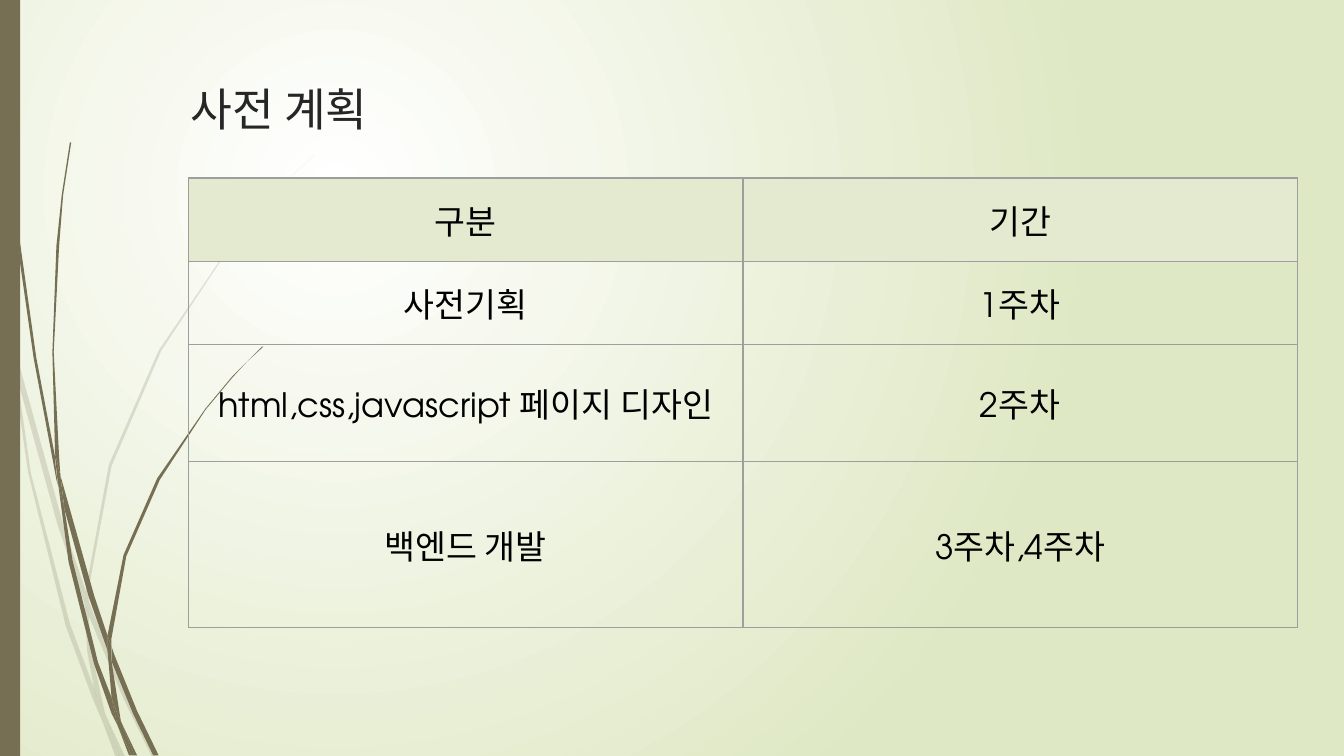
"""Build the slide with the advance plan schedule table."""
import dataclasses
import itertools

import pptx
import pptx.dml.color
import pptx.enum.shapes
import pptx.enum.text
import pptx.oxml
import pptx.oxml.ns
import pptx.slide
import pptx.util

Pt = pptx.util.Pt
qn = pptx.oxml.ns.qn
FONT = "TeX Gyre Adventor"
NAMESPACE = pptx.oxml.ns.nsdecls("a")
COLOURS = {
    "glow": "FFFFFF", "meadow": "DFE8C4", "stem": "766F54", "title": "262626",
    "text": "000000", "header": "E3EACF", "border": "9E9E9E",
}
HUNDREDTH_INCH = 0.72
COLUMN_WIDTH = 297
ROW_HEIGHTS = (44.6, 44.6, 62.6, 44.6, 44.6)
ROWS = (
    ("구분", "기간"),
    ("사전기획", "1주차"),
    ("html,css,javascript 페이지 디자인", "2주차"),
    ("백엔드 개발", "3주차,4주차"),
    ("", ""),
)


@dataclasses.dataclass(frozen=True)
class Grass:
    """Blades given as outline corners, in hundredths of an inch."""
    opacity: int
    blades: tuple[str, ...]


PALE_GRASS = Grass(20, (
    "8,263 6,241 0,211 0,224 8,258",
    "43,391 63,449 64,440 47,390 11,259 13,282",
    "69,455 66,447 66,458 92,520 113,563 116,563 95,519",
    "89,563 93,563 79,533",
    "70,512 52,464 23,352 13,282 8,263 21,352 49,466 69,520 76,536 74,530",
    "63,449 65,485 70,512 72,519 79,533 78,530 68,484 66,458 66,456",
    "66,438 83,347 120,261 171,184 201,148 217,131 234,115 "
    "217,131 201,148 171,183 118,261 81,346 64,438 64,440 66,447",
    "76,536 86,563 89,563",
    "66,456 66,458 66,447 64,440 63,449",
    "72,519 70,512 74,530 76,536 89,563 79,533",
))
DARK_GRASS = Grass(100, (
    "5,82 12,175 25,266 42,357 43,361 41,343 41,340 27,266 14,174 6,82 3,36 3,0 2,0 3,36",
    "66,444 80,484 80,475 80,473 70,443 45,354 48,379",
    "85,487 83,481 83,492 99,531 114,562 118,562 102,529",
    "83,519 73,493 54,417 48,379 43,358 51,418 70,494 83,531 88,541 87,538",
    "45,354 44,340 40,262 44,183 47,145 53,106 52,106 46,145 42,183 39,262 41,337",
    "100,562 102,562 91,539",
    "43,358 48,379 45,354 41,337 41,340",
    "83,475 94,414 119,357 153,305 173,281 184,269 196,258 195,258 "
    "184,269 173,280 153,304 117,356 92,413 80,473 83,481",
    "88,541 96,562 98,562",
    "80,484 83,519 87,530 91,539 90,537 83,492 81,488",
    "80,484 81,488 83,492 83,481 80,473 80,475",
    "87,530 83,519 87,538 88,541 98,562 100,562 91,539",
))


def rgb(name: str) -> pptx.dml.color.RGBColor:
    return pptx.dml.color.RGBColor.from_string(COLOURS[name])


def paint_stem(shape, opacity: int = 100) -> None:
    shape.shadow.inherit = False
    shape.fill.solid()
    shape.fill.fore_color.rgb = rgb("stem")
    shape.line.fill.background()
    if opacity < 100:
        colour = shape.element.spPr.find(".//" + qn("a:srgbClr"))
        colour.append(pptx.oxml.parse_xml(f'<a:alpha {NAMESPACE} val="{opacity * 1000}"/>'))


def draw_grass(page: pptx.slide.Slide, grass: Grass) -> None:
    for blade in grass.blades:
        outline = [
            tuple(Pt(int(number) * HUNDREDTH_INCH) for number in corner.split(","))
            for corner in blade.split()]
        builder = page.shapes.build_freeform(*outline[0])
        builder.add_line_segments(outline[1:], close=True)
        paint_stem(builder.convert_to_shape(), grass.opacity)


def draw_background(page: pptx.slide.Slide) -> None:
    fill = page.background.fill
    fill.gradient()
    for stop, name in zip(fill.gradient_stops, ("glow", "meadow")):
        stop.color.rgb = rgb(name)
    gradient = page.element.find(".//" + qn("a:gradFill"))
    gradient.replace(gradient.find(qn("a:lin")), pptx.oxml.parse_xml(
        f'<a:path {NAMESPACE} path="circle">'
        '<a:fillToRect l="50000" t="50000" r="100000" b="100000"/></a:path>'))


def set_font(para, size: float, colour: str) -> None:
    para.font.name = FONT
    para.font.size = Pt(size)
    para.font.color.rgb = rgb(colour)


def write_title(page: pptx.slide.Slide, text: str) -> None:
    title = page.shapes.title
    title.left, title.top, title.width, title.height = Pt(95), Pt(35.3), Pt(600.5), Pt(45.4)
    frame = title.text_frame
    frame.text = text
    frame.auto_size = pptx.enum.text.MSO_AUTO_SIZE.NONE
    frame.vertical_anchor = pptx.enum.text.MSO_ANCHOR.MIDDLE
    frame.margin_left = frame.margin_right = frame.margin_top = frame.margin_bottom = Pt(7.2)
    para = frame.paragraphs[0]
    para.alignment = pptx.enum.text.PP_ALIGN.LEFT
    set_font(para, 24.3, "title")
    page.shapes.element.append(title.element)


def draw_schedule(page: pptx.slide.Slide) -> None:
    frame = page.shapes.add_table(
        len(ROWS), 2, Pt(101), Pt(95.4), Pt(2 * COLUMN_WIDTH), Pt(sum(ROW_HEIGHTS)))
    table = frame.table
    table.first_row = table.horz_banding = False
    for column in table.columns:
        column.width = Pt(COLUMN_WIDTH)
    for row, height in zip(table.rows, ROW_HEIGHTS):
        row.height = Pt(height)
    for row, column in itertools.product(range(len(ROWS)), range(2)):
        cell = table.cell(row, column)
        cell.text = ROWS[row][column]
        cell.vertical_anchor = pptx.enum.text.MSO_ANCHOR.MIDDLE
        cell.margin_left = cell.margin_right = cell.margin_top = cell.margin_bottom = Pt(7.2)
        para = cell.text_frame.paragraphs[0]
        para.alignment = pptx.enum.text.PP_ALIGN.CENTER
        set_font(para, 18, "text")
        if row == 0:
            cell.fill.solid()
            cell.fill.fore_color.rgb = rgb("header")
        else:
            cell.fill.background()
    for column in range(2):
        table.cell(3, column).merge(table.cell(4, column))
    for properties in frame.element.iter(qn("a:tcPr")):
        for position, side in enumerate("LRTB"):
            properties.insert(position, pptx.oxml.parse_xml(
                f'<a:ln{side} {NAMESPACE} w="{Pt(0.75)}"><a:solidFill>'
                f'<a:srgbClr val="{COLOURS["border"]}"/></a:solidFill></a:ln{side}>'))


def main() -> None:
    deck = pptx.Presentation()
    deck.slide_width, deck.slide_height = Pt(720), Pt(405)
    page = deck.slides.add_slide(deck.slide_layouts.get_by_name("Title Only"))
    draw_background(page)
    draw_grass(page, PALE_GRASS)
    draw_grass(page, DARK_GRASS)
    paint_stem(page.shapes.add_shape(
        pptx.enum.shapes.MSO_SHAPE.RECTANGLE, Pt(0), Pt(0), Pt(10.8), deck.slide_height))
    write_title(page, "사전 계획")
    draw_schedule(page)
    deck.save("out.pptx")


if __name__ == "__main__":
    main()
